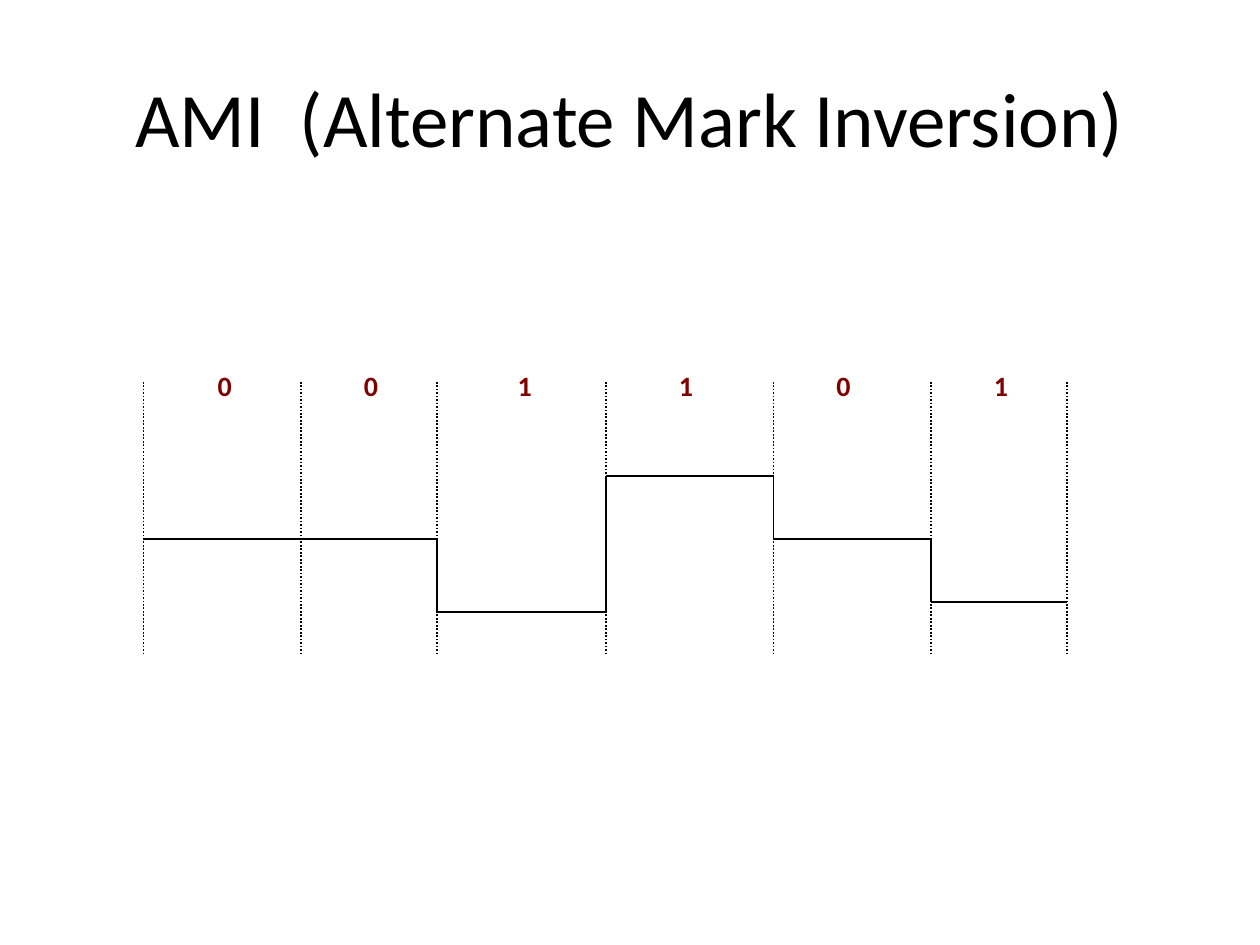
"""Build a slide that shows the AMI line code as a waveform over bit periods."""
from itertools import pairwise

from pptx import Presentation
from pptx.dml.color import RGBColor
from pptx.enum.dml import MSO_LINE
from pptx.enum.shapes import MSO_CONNECTOR
from pptx.enum.text import MSO_ANCHOR, MSO_AUTO_SIZE, PP_ALIGN
from pptx.oxml.xmlchemy import OxmlElement
from pptx.util import Inches, Pt

COLORS = {"ink": "000000", "bit": "800000"}
FONT = "Calibri"
BOUNDARIES = [1.14, 2.39, 3.47, 4.81, 6.14, 7.39, 8.47]
BOUNDARY_TOP, BOUNDARY_BOTTOM = 3.03, 5.19
BITS = [("0", 1.63), ("0", 2.79), ("1", 4.01), ("1", 5.29), ("0", 6.54), ("1", 7.79)]
SIGNAL = [(1.14, 4.28), (3.47, 4.28), (3.47, 4.86), (4.81, 4.86), (4.81, 3.78),
          (6.14, 3.78), (6.14, 4.28), (7.39, 4.28), (7.39, 4.78), (8.47, 4.78)]


def style_font(paragraph, size, color, bold=False):
    """Set the font of every run in a paragraph."""
    for run in paragraph.runs:
        run.font.name = FONT
        run.font.size = Pt(size)
        run.font.bold = bold
        run.font.color.rgb = RGBColor.from_string(COLORS[color])


def set_title(slide, text):
    """Fill, place and format the title placeholder."""
    title = slide.shapes.title
    title.left, title.top = Inches(0.5), Inches(0.3)
    title.width, title.height = Inches(9), Inches(1.25)
    text_frame = title.text_frame
    text_frame.text = text
    text_frame.vertical_anchor = MSO_ANCHOR.MIDDLE
    paragraph = text_frame.paragraphs[0]
    paragraph.alignment = PP_ALIGN.CENTER
    style_font(paragraph, 44, "ink")


def add_bit(slide, text, left):
    """Add the label of one bit period."""
    box = slide.shapes.add_textbox(Inches(left), Inches(2.88), Inches(0.34), Inches(0.37))
    text_frame = box.text_frame
    text_frame.text = text
    text_frame.word_wrap = False
    text_frame.auto_size = MSO_AUTO_SIZE.SHAPE_TO_FIT_TEXT
    style_font(text_frame.paragraphs[0], 16, "bit", bold=True)


def add_line(slide, start, end, dash=None):
    """Add a thin straight line between two points."""
    points = [Inches(value) for value in (*start, *end)]
    connector = slide.shapes.add_connector(MSO_CONNECTOR.STRAIGHT, *points)
    connector.line.width = Pt(1)
    connector.line.color.rgb = RGBColor.from_string(COLORS["ink"])
    if dash:
        connector.line.dash_style = dash
    connector._element.spPr.append(OxmlElement("a:effectLst"))


def main():
    """Build and save the presentation."""
    presentation = Presentation()
    presentation.slide_width, presentation.slide_height = Inches(10), Inches(7.5)
    slide = presentation.slides.add_slide(presentation.slide_layouts[5])
    set_title(slide, "AMI  (Alternate Mark Inversion)")
    for text, left in BITS:
        add_bit(slide, text, left)
    for x in BOUNDARIES:
        add_line(slide, (x, BOUNDARY_TOP), (x, BOUNDARY_BOTTOM), MSO_LINE.ROUND_DOT)
    for start, end in pairwise(SIGNAL):
        add_line(slide, start, end)
    presentation.save("out.pptx")


if __name__ == "__main__":
    main()
